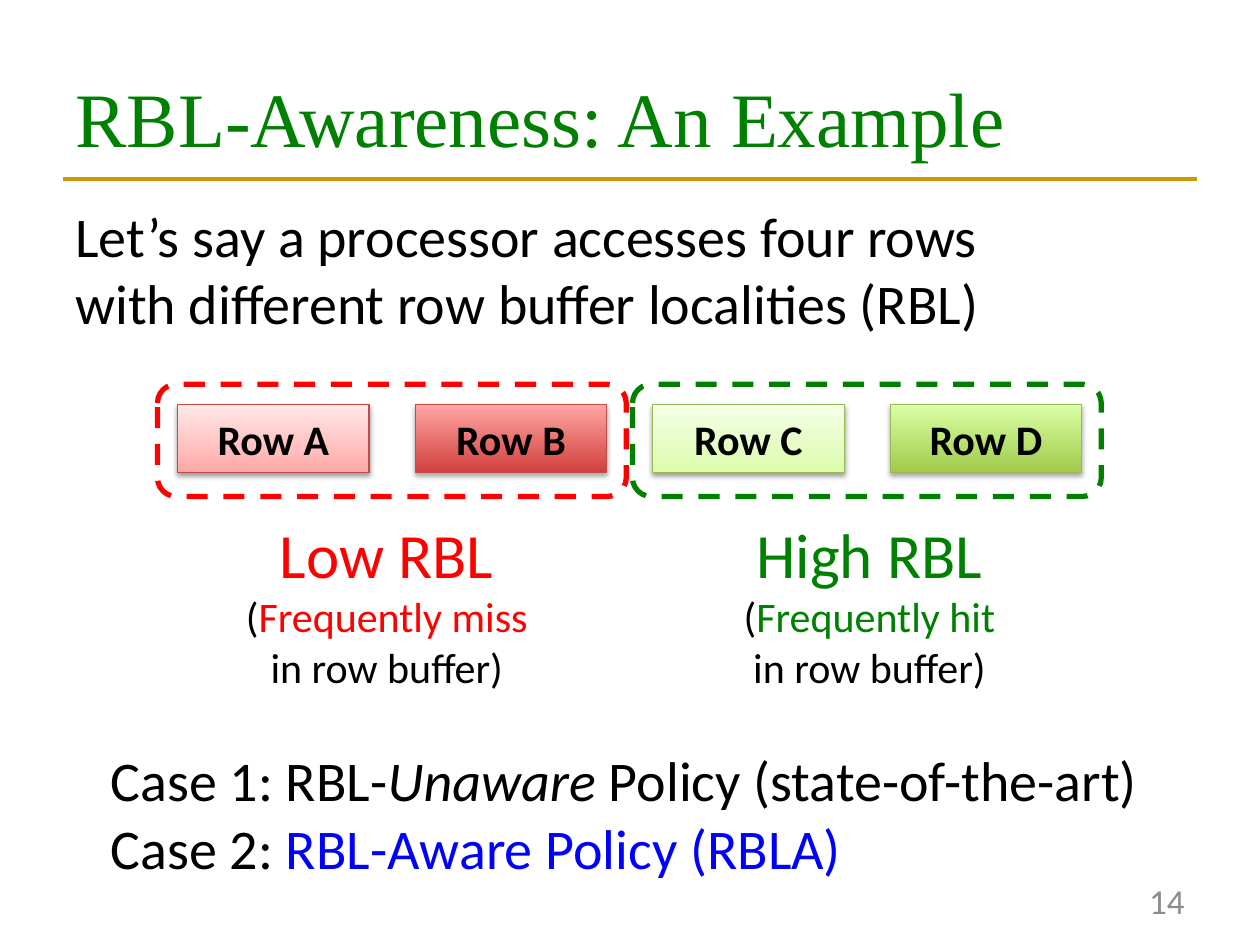
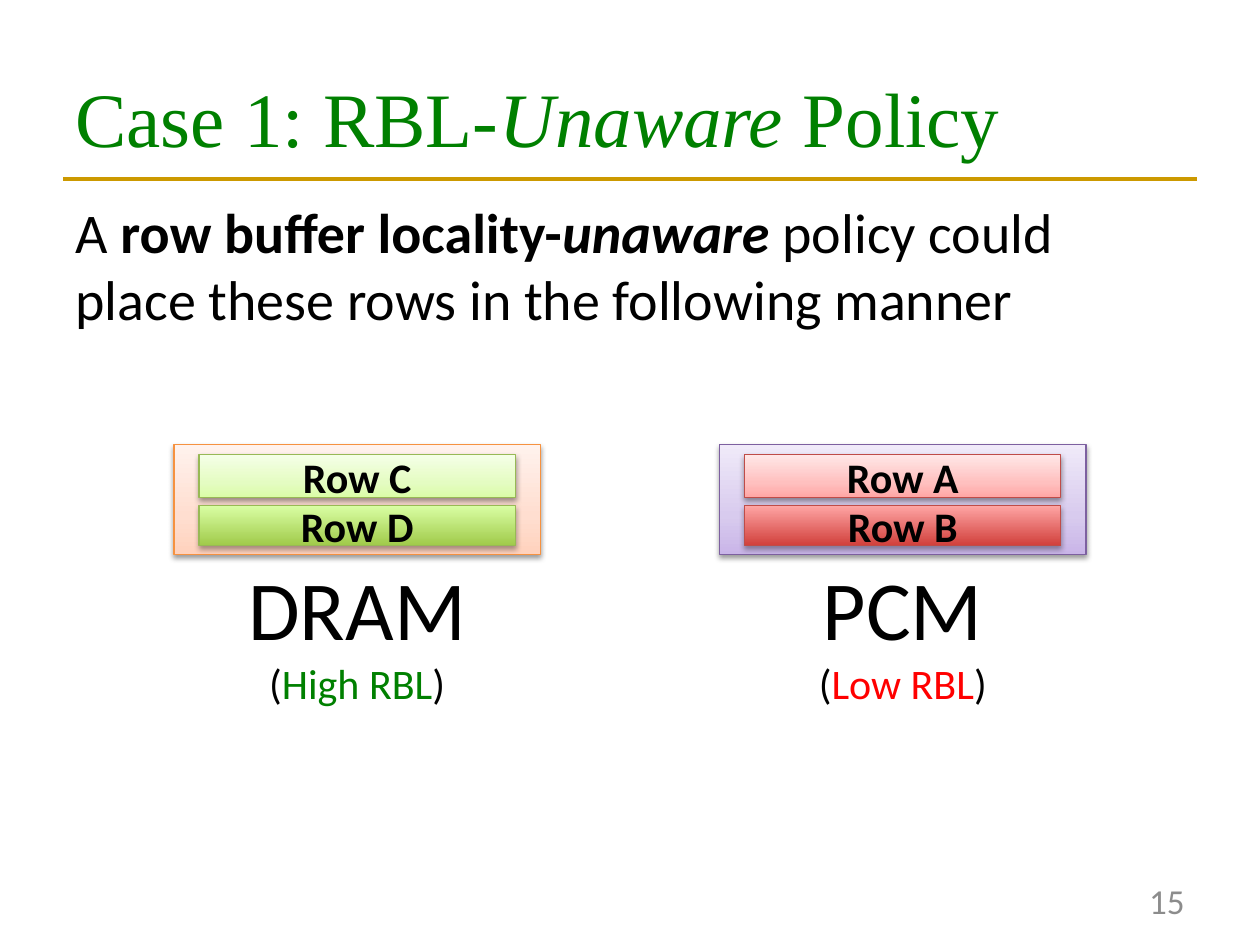
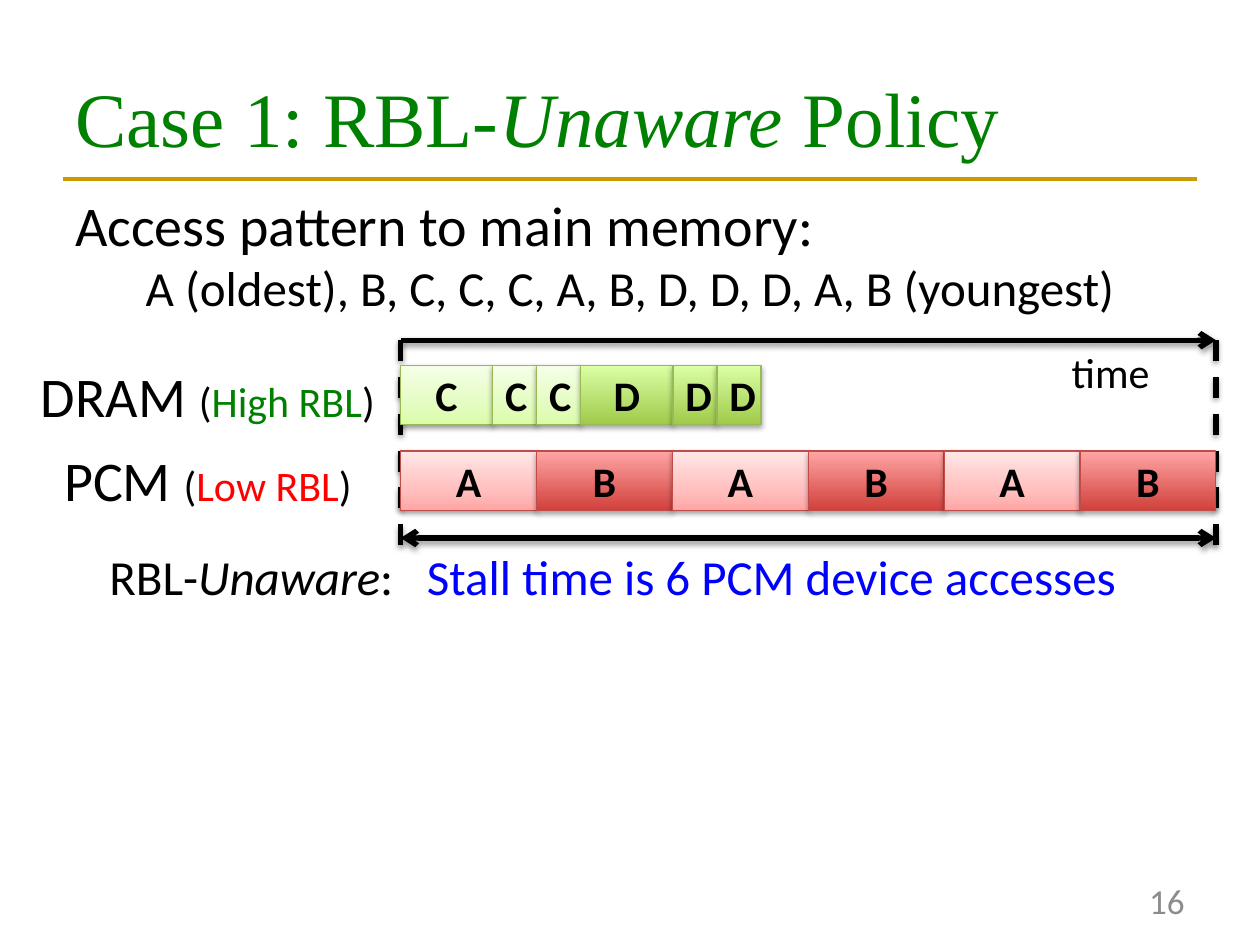
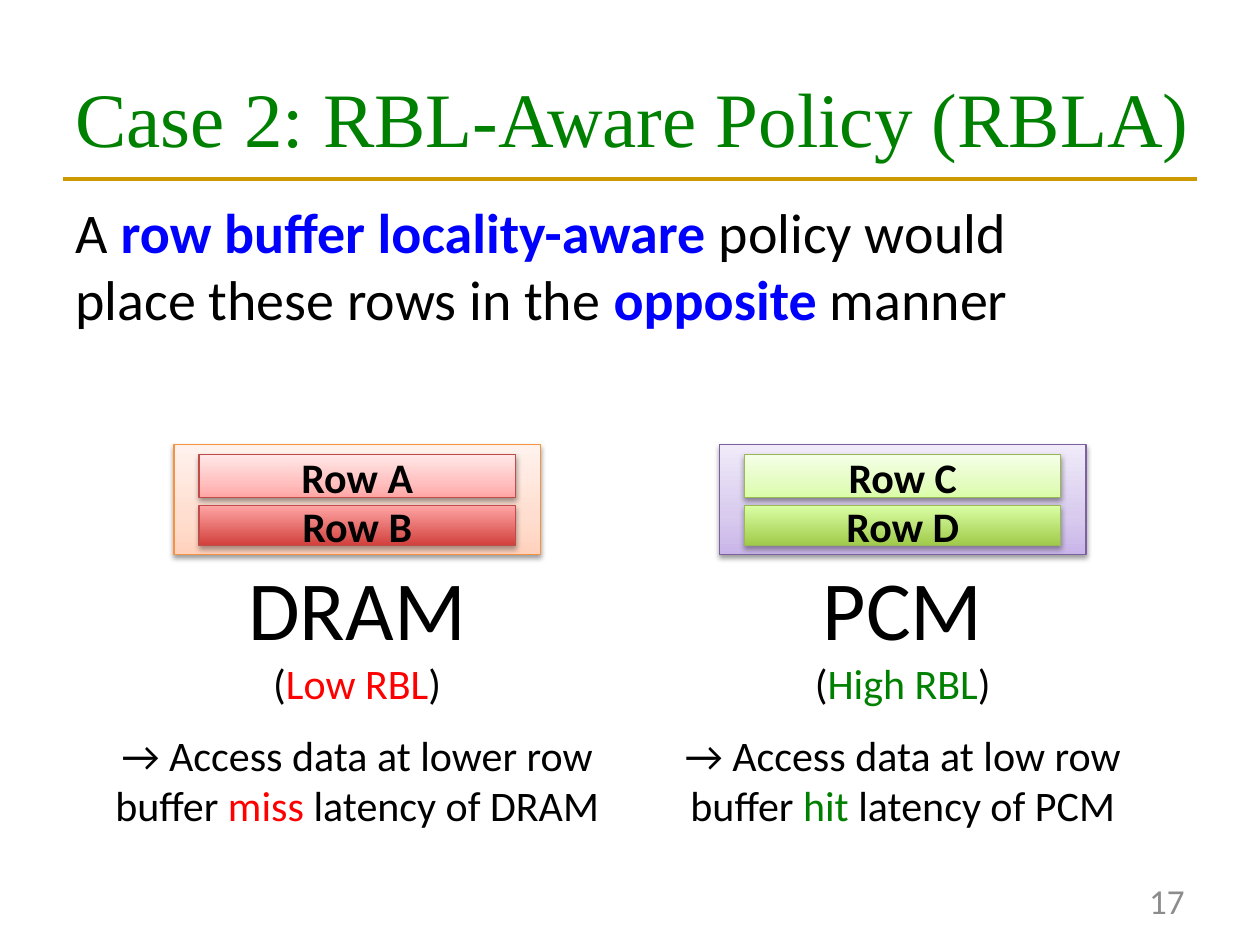
from dataclasses import dataclass, field

from lxml import etree
from pptx import Presentation
from pptx.dml.color import RGBColor
from pptx.enum import dml, shapes, text
from pptx.oxml.ns import qn
from pptx.util import Inches, Pt

BLACK = RGBColor(0x00, 0x00, 0x00)
GREEN = RGBColor(0x00, 0x80, 0x00)
RED = RGBColor(0xFF, 0x00, 0x00)
BLUE = RGBColor(0x00, 0x00, 0xFF)
GOLD = RGBColor(0xCC, 0x99, 0x00)
GREY = RGBColor(0x8C, 0x8C, 0x8C)
RED_EDGE = RGBColor(0xBF, 0x4C, 0x48)
GREEN_EDGE = RGBColor(0x98, 0xB9, 0x55)
ORANGE_EDGE = RGBColor(0xF6, 0x92, 0x40)
PURPLE_EDGE = RGBColor(0x7D, 0x60, 0xA0)

BODY_FONT = "Calibri"
TITLE_FONT = "Times New Roman"
LEFT, CENTER, RIGHT = text.PP_ALIGN.LEFT, text.PP_ALIGN.CENTER, text.PP_ALIGN.RIGHT

LOW_RBL = ("Low RBL", RED)
HIGH_RBL = ("High RBL", GREEN)


@dataclass
class Look:
    """Upward gradient stops (percent, colour), edge colour and shadow."""
    stops: list
    edge: RGBColor
    shadow_alpha: int = 38
    shadow_distance: float = 1.6


@dataclass
class Run:
    text: str
    color: RGBColor = None
    size: int = None
    bold: bool = None
    italic: bool = None


@dataclass
class Para:
    size: int
    runs: list = field(default_factory=list)
    align: int = LEFT
    color: RGBColor = BLACK
    bold: bool = False
    face: str = BODY_FONT
    tab: float = None


ROW_LOOKS = {
    "A": Look([(0, "FFA6A5"), (35, "FFC0BF"), (100, "FFE7E7")], RED_EDGE),
    "B": Look([(0, "D1403C"), (100, "FFA6A5")], RED_EDGE, 35, 1.8),
    "C": Look([(0, "DAFDA7"), (35, "E4FCC2"), (100, "F5FFE7")], GREEN_EDGE),
    "D": Look([(0, "A0CA4A"), (100, "DAFFA5")], GREEN_EDGE, 35, 1.8),
}
DEVICE_LOOKS = {
    "DRAM": Look([(0, "FFD2BD"), (35, "FFDED0"), (100, "FFF2ED")], ORANGE_EDGE),
    "PCM": Look([(0, "C9B5E8"), (35, "D8CBEE"), (100, "F0EAF9")], PURPLE_EDGE),
}


def add_xml(parent, tag, **attrs):
    return etree.SubElement(parent, qn(tag), {k: str(v) for k, v in attrs.items()})


def add_shadow(effects, alpha=38, distance=1.6):
    shadow = add_xml(effects, "a:outerShdw", blurRad=Pt(3.1), dist=Pt(distance),
                     dir=90 * 60000, rotWithShape=0)
    color = add_xml(shadow, "a:srgbClr", val="000000")
    add_xml(color, "a:alpha", val=alpha * 1000)


def apply_look(sp, look):
    sp.fill.gradient()
    sp.fill.gradient_angle = 90
    stops = sp.element.spPr.find(".//" + qn("a:gsLst"))
    for stop in list(stops):
        stops.remove(stop)
    for percent, color in look.stops:
        stop = add_xml(stops, "a:gs", pos=percent * 1000)
        add_xml(stop, "a:srgbClr", val=color)
    sp.line.color.rgb = look.edge
    sp.line.width = Pt(0.75)
    sp.shadow.inherit = False
    add_shadow(sp.element.spPr.find(qn("a:effectLst")),
               look.shadow_alpha, look.shadow_distance)


def format_font(font, item):
    if item.size:
        font.size = Pt(item.size)
    if item.color is not None:
        font.color.rgb = item.color
    if item.bold is not None:
        font.bold = item.bold


def write(tf, paras):
    for i, para in enumerate(paras):
        p = tf.paragraphs[0] if i == 0 else tf.add_paragraph()
        p.alignment = para.align
        p.font.name = para.face
        format_font(p.font, para)
        if para.tab:
            tabs = etree.Element(qn("a:tabLst"))
            add_xml(tabs, "a:tab", pos=Inches(para.tab), algn="l")
            p._p.get_or_add_pPr().insert(0, tabs)
        for item in para.runs:
            r = p.add_run()
            if isinstance(item, str):
                r.text = item
                continue
            r.text = item.text
            format_font(r.font, item)
            if item.italic is not None:
                r.font.italic = item.italic


def add_text(s, x, y, w, h, *paras, wrap=False):
    tf = s.shapes.add_textbox(Inches(x), Inches(y), Inches(w), Inches(h)).text_frame
    tf.word_wrap = wrap
    write(tf, paras)
    return tf


def add_line(s, x1, y1, x2, y2, color=BLACK, width=3, dashed=False,
             arrows=(), shadow=True):
    """Straight line; arrows names its ends: headEnd, tailEnd."""
    line = s.shapes.add_connector(shapes.MSO_CONNECTOR.STRAIGHT, Inches(x1),
                                  Inches(y1), Inches(x2), Inches(y2))
    line.line.color.rgb = color
    line.line.width = Pt(width)
    if dashed:
        line.line.dash_style = dml.MSO_LINE.DASH
    for end in arrows:
        add_xml(line.line._get_or_add_ln(), "a:" + end, type="arrow")
    effects = add_xml(line.element.spPr, "a:effectLst")
    if shadow:
        add_shadow(effects)


def add_box(s, x, y, w, h, look, label=None):
    sp = s.shapes.add_shape(shapes.MSO_SHAPE.RECTANGLE, Inches(x), Inches(y),
                            Inches(w), Inches(h))
    apply_look(sp, look)
    if label:
        sp.text_frame.vertical_anchor = text.MSO_ANCHOR.MIDDLE
        write(sp.text_frame, [Para(24, [label], CENTER, bold=True)])


def add_dashed_frame(s, x, y, w, h, color):
    sp = s.shapes.add_shape(shapes.MSO_SHAPE.ROUNDED_RECTANGLE, Inches(x),
                            Inches(y), Inches(w), Inches(h))
    sp.fill.background()
    sp.line.color.rgb = color
    sp.line.width = Pt(3)
    sp.line.dash_style = dml.MSO_LINE.DASH
    sp.shadow.inherit = False


def rbl_runs(rbl):
    name, color = rbl
    return [Run("(", size=24), Run(name, color, 24), Run(")", size=24)]


def add_device(s, name, x, rows, rbl, label_w):
    """Memory device holding two rows, with its name and locality below."""
    w = 2.91
    add_box(s, x, 3.53, w, 0.87, DEVICE_LOOKS[name])
    for row, y, h in zip(rows, (3.61, 4.01), (0.34, 0.32)):
        add_box(s, x + 0.2, y, w - 0.4, h, ROW_LOOKS[row], f"Row {row}")
    add_text(s, x + (w - label_w) / 2, 4.37, label_w, 1.31,
             Para(48, [name], CENTER), Para(24, rbl_runs(rbl), CENTER))


def add_accesses(s, x, y, accesses):
    """Adjoining boxes, one for each (row, width)."""
    for row, w in accesses:
        add_box(s, x, y, w, 0.47, ROW_LOOKS[row], row)
        x += w


def add_slide(prs, number, title_runs, title_w=9):
    s = prs.slides.add_slide(prs.slide_layouts[5])
    add_line(s, 0.5, 1.42, 9.5, 1.42, GOLD, 2.25, shadow=False)
    title = s.shapes.title
    title.left, title.top = Inches(0.5), Inches(0.3)
    title.width, title.height = Inches(title_w), Inches(1.25)
    title.text_frame.auto_size = text.MSO_AUTO_SIZE.NONE
    title.text_frame.vertical_anchor = text.MSO_ANCHOR.MIDDLE
    write(title.text_frame, [Para(44, title_runs, color=GREEN, face=TITLE_FONT)])
    tf = add_text(s, 7.17, 6.95, 2.33, 0.4,
                  Para(20, [str(number)], RIGHT, GREY), wrap=True)
    tf.vertical_anchor = text.MSO_ANCHOR.MIDDLE
    return s


def build_example(prs):
    s = add_slide(prs, 14, ["RBL-Awareness: An Example"])
    add_text(s, 0.5, 1.55, 7.46, 1.18,
             Para(32, ["Let’s say a processor accesses four rows"]),
             Para(32, ["with different row buffer localities (RBL)"]))
    for i, (row, look) in enumerate(ROW_LOOKS.items()):
        add_box(s, 1.41 + 1.885 * i, 3.21, 1.52, 0.54, look, f"Row {row}")
    groups = [(1.25, 1.84, 2.46, LOW_RBL, "Frequently miss"),
              (5.02, 5.79, 2.22, HIGH_RBL, "Frequently hit")]
    for frame_x, label_x, label_w, (name, color), habit in groups:
        add_dashed_frame(s, frame_x, 3.05, 3.72, 0.89, color)
        add_text(s, label_x, 4.04, label_w, 1.51,
                 Para(36, [name], CENTER, color),
                 Para(24, ["(", Run(habit, color)], CENTER),
                 Para(24, ["in row buffer)"], CENTER))
    add_text(s, 0.78, 5.87, 8.4, 1.18,
             Para(32, ["Case 1: RBL-", Run("Unaware", italic=True),
                       " Policy (state-of-the-art)"]),
             Para(32, ["Case 2: ", Run("RBL-Aware Policy (RBLA)", BLUE)]), wrap=True)


def add_unaware_slide(prs, number):
    return add_slide(prs, number,
                     ["Case 1: RBL-", Run("Unaware ", italic=True), "Policy"])


def build_unaware_placement(prs):
    s = add_unaware_slide(prs, 15)
    add_text(s, 0.5, 1.52, 8.03, 1.18,
             Para(32, ["A ", Run("row buffer locality-", bold=True),
                       Run("unaware ", bold=True, italic=True), "policy could"]),
             Para(32, ["place these rows in the following manner"]))
    add_device(s, "DRAM", 1.38, "CD", HIGH_RBL, 1.95)
    add_device(s, "PCM", 5.71, "AB", LOW_RBL, 1.55)


def build_unaware_timeline(prs):
    start, end = 3.18, 9.65
    s = add_unaware_slide(prs, 16)
    add_text(s, 0.77, 4.29, 8.35, 0.57,
             Para(28, ["RBL-", Run("Unaware", italic=True), ":\t",
                       Run("Stall time is 6 PCM device accesses", BLUE)], tab=2.52),
             wrap=True)
    for x in (end, start):
        add_line(s, x, 2.7, x, 4.41, dashed=True)
    for name, y, rbl in (("DRAM ", 2.82, HIGH_RBL), ("PCM ", 3.49, LOW_RBL)):
        add_text(s, 0.2, y, 2.9, 0.64,
                 Para(32, [name, *rbl_runs(rbl)], CENTER), wrap=True)
    miss, hit = 0.73, 0.35
    add_accesses(s, start, 3.58, [(row, (end - start) / 6) for row in "ABABAB"])
    add_accesses(s, start, 2.9,
                 [(row, w) for row in "CD" for w in (miss, hit, hit)])
    add_text(s, 0.5, 1.46, 9, 1.14,
             Para(32, ["Access pattern to main memory:"]),
             Para(28, ["A (oldest), B, C, C, C, A, B, D, D, D, A, B (youngest)"],
                  CENTER), wrap=True)
    add_line(s, start, 4.27, end, 4.27, arrows=("headEnd", "tailEnd"))
    add_line(s, start, 2.7, end, 2.7, arrows=("tailEnd",))
    add_text(s, 8.4, 2.7, 0.83, 0.5, Para(24, ["time"], CENTER))


def build_aware_placement(prs):
    s = add_slide(prs, 17, ["Case 2: RBL-Aware Policy (RBLA)"], 9.5)
    add_text(s, 0.5, 1.52, 7.72, 1.18,
             Para(32, ["A ", Run("row buffer locality-aware ", BLUE, bold=True),
                       "policy would"]),
             Para(32, ["place these rows in the ",
                       Run("opposite ", BLUE, bold=True), "manner"]))
    add_device(s, "DRAM", 1.38, "AB", LOW_RBL, 1.95)
    add_device(s, "PCM", 5.71, "CD", HIGH_RBL, 1.61)
    notes = [(0.66, 4.35, "lower", Run("miss", RED), "DRAM"),
             (5.15, 4.03, "low", Run("hit", GREEN), "PCM")]
    for x, w, level, event, device in notes:
        add_text(s, x, 5.74, w, 0.91,
                 Para(24, [f"→ Access data at {level} row buffer ", event,
                           f" latency of {device}"], CENTER), wrap=True)


def main():
    prs = Presentation()
    prs.slide_width, prs.slide_height = Inches(10), Inches(7.5)
    build_example(prs)
    build_unaware_placement(prs)
    build_unaware_timeline(prs)
    build_aware_placement(prs)
    prs.save("out.pptx")


if __name__ == "__main__":
    main()
